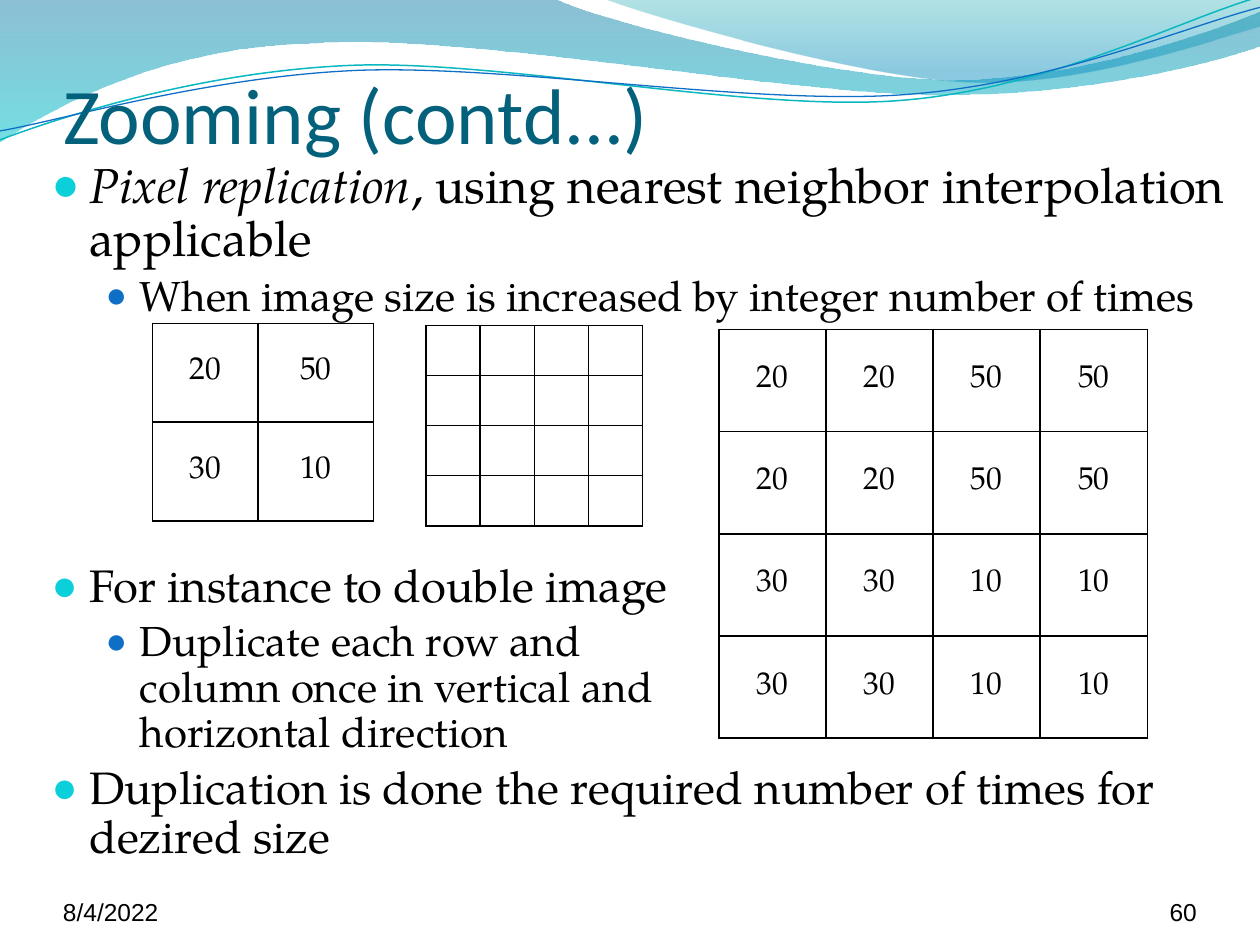
from lxml import etree
from pptx import Presentation
from pptx.dml.color import RGBColor
from pptx.enum.text import MSO_ANCHOR, MSO_AUTO_SIZE, PP_ALIGN
from pptx.oxml.ns import qn
from pptx.util import Cm, Pt

LEFT, CENTER, RIGHT = PP_ALIGN.LEFT, PP_ALIGN.CENTER, PP_ALIGN.RIGHT
TOP, MIDDLE, BOTTOM = MSO_ANCHOR.TOP, MSO_ANCHOR.MIDDLE, MSO_ANCHOR.BOTTOM
NO_AUTOFIT = MSO_AUTO_SIZE.NONE
SERIF = "TeX Gyre Pagella"

# Outlines in cm: a start point, then lines (one point) or curves (three points)
BROAD_WAVE = [
    (0, 0), [(11.18, -0.03)],
    [(12.09, 0.43), (16.87, 1.6), (19.25, 1.6)],
    [(21.67, 1.6), (24.33, 0.66), (25.4, 0.23)], [(25.43, 0.91)],
    [(24.97, 1.12), (22.1, 1.93), (18.95, 1.91)],
    [(15.8, 1.91), (9.7, 0.71), (6.53, 0.86)],
    [(3.28, 0.91), (1.17, 2.11), (-0.03, 2.87)],
]
RIGHT_WAVE = [
    (12.17, -0.03),
    [(12.93, 0.28), (17.32, 1.57), (19.53, 1.65)],
    [(21.74, 1.75), (24.41, 0.81), (25.4, 0.53)], [(25.4, 0)],
]
TEAL_LINE = [
    (0, 2.82),
    [(1.22, 2.36), (4.01, 1.45), (7.04, 1.32)],
    [(10.03, 1.19), (15.06, 2.26), (18.11, 2.03)],
    [(21.16, 1.8), (23.83, 0.38), (25.35, -0.05)],
]
BLUE_LINE = [
    (0, 2.64),
    [(1.19, 2.44), (4.17, 1.55), (7.19, 1.42)],
    [(10.24, 1.3), (15.16, 2.13), (18.21, 1.91)],
    [(21.23, 1.7), (23.9, 0.53), (25.4, 0.15)],
]

# Level, space before in points, text size, runs as (text, italic)
BULLETS = [
    (0, 0, 28, [("Pixel replication", True),
                (", using nearest neighbor interpolation applicable", False)]),
    (1, 4.5, 24, [("When image size is increased by integer number of\u00a0times", False)]),
    (0, 139, 26, [("For instance to double image", False)]),
    (1, 4.5, 24, [("Duplicate each row and\vcolumn once in vertical and\v"
                   "horizontal direction", False)]),
    (0, 5, 26, [("Duplication is done the required number of times for dezired size", False)]),
]
# Indent and hanging in cm, bullet colour, bullet size in percent
LEVELS = [(0.76, 0.76, "0BD0D9", 95), (1.78, 0.69, "0F6FC6", 85)]

PIXELS = [[20, 50], [30, 10]]
EMPTY_GRID = [[""] * 4 for _ in range(4)]
DOUBLED = [[value for value in row for _ in range(2)] for row in PIXELS for _ in range(2)]


def color(value):
    return RGBColor.from_string(value)


def write(paragraph, text, size=18, font=SERIF, fill="000000", italic=False, align=LEFT):
    paragraph.alignment = align
    for index, part in enumerate(text.split("\v")):
        if index:
            paragraph.add_line_break()
        run = paragraph.add_run()
        run.text = part
        run.font.size, run.font.name, run.font.italic = Pt(size), font, italic
        run.font.color.rgb = color(fill)


def place(shape, left, top, width, height):
    shape.left, shape.top = Cm(left), Cm(top)
    shape.width, shape.height = Cm(width), Cm(height)


def set_frame(frame, anchor, margins):
    frame.word_wrap, frame.auto_size = True, NO_AUTOFIT
    frame.vertical_anchor = anchor
    (frame.margin_left, frame.margin_top,
     frame.margin_right, frame.margin_bottom) = (Cm(margin) for margin in margins)


def add_outline(slide, left, top, outline, closed):
    points = outline[:1] + [point for segment in outline[1:] for point in segment]
    places = [(Cm(left + x), Cm(top + y)) for x, y in points]
    builder = slide.shapes.build_freeform(*places[0])
    builder.add_line_segments(places[1:], close=closed)
    shape = builder.convert_to_shape()
    shape.shadow.inherit = False
    # Join each run of three lines into one Bezier curve
    lines = iter(list(shape._element.iter(qn("a:lnTo"))))
    for segment in outline[1:]:
        parts = [next(lines) for _ in segment]
        if len(parts) == 3:
            curve = etree.Element(qn("a:cubicBezTo"))
            parts[0].addprevious(curve)
            for part in parts:
                curve.append(part[0])
                part.getparent().remove(part)
    return shape


def add_header_waves(slide, left, top):
    # Translucent bands, with stops as (position, colour, opacity in percent)
    for outline, stops in (
        (BROAD_WAVE, [(0, "0074A1", 45), (1, "00C6CF", 55)]),
        (RIGHT_WAVE, [(0, "00A1A9", 30), (0.8, "008BBF", 45)]),
    ):
        shape = add_outline(slide, left, top, outline, True)
        shape.line.fill.background()
        shape.fill.gradient()
        shape.fill.gradient_angle = 270
        for stop, (position, value, opacity) in zip(shape.fill.gradient_stops, stops):
            stop.position = position
            stop.color.rgb = color(value)
        for node, stop in zip(shape._element.iter(qn("a:srgbClr")), stops):
            etree.SubElement(node, qn("a:alpha"), val=str(stop[2] * 1000))
    # Thin lines
    for outline, value, width in ((TEAL_LINE, "0AB8BF", 0.85), (BLUE_LINE, "0F6FC6", 0.75)):
        shape = add_outline(slide, left, top, outline, False)
        shape.fill.background()
        shape.line.color.rgb = color(value)
        shape.line.width = Pt(width)


def add_title(slide, left, top, width, height):
    title = slide.shapes.title
    place(title, left, top, width, height)
    set_frame(title.text_frame, BOTTOM, (0, 0.13, 0, 0))
    write(title.text_frame.paragraphs[0], "Zooming (contd...)", 45, "Calibri", "04617B")


def set_bullet(paragraph, level):
    indent, hanging, value, percent = LEVELS[level]
    paragraph.level = level
    properties = paragraph._p.get_or_add_pPr()
    properties.set("marL", str(Cm(indent)))
    properties.set("indent", str(-Cm(hanging)))
    bullet_color = etree.SubElement(properties, qn("a:buClr"))
    etree.SubElement(bullet_color, qn("a:srgbClr"), val=value)
    etree.SubElement(properties, qn("a:buSzPct"), val=str(percent * 1000))
    etree.SubElement(properties, qn("a:buFont"), typeface="Arial")
    etree.SubElement(properties, qn("a:buChar"), char="●")


def add_body(slide, left, top, width, height):
    body = slide.placeholders[1]
    place(body, left, top, width, height)
    frame = body.text_frame
    set_frame(frame, TOP, (0.25, 0.13, 0.25, 0.13))
    for index, (level, space, size, runs) in enumerate(BULLETS):
        paragraph = frame.add_paragraph() if index else frame.paragraphs[0]
        set_bullet(paragraph, level)
        paragraph.line_spacing, paragraph.space_before = 0.9, Pt(space)
        for text, italic in runs:
            write(paragraph, text, size, italic=italic)


def set_borders(cell):
    properties = cell._tc.get_or_add_tcPr()
    for index, side in enumerate(("a:lnL", "a:lnR", "a:lnT", "a:lnB")):
        line = etree.Element(qn(side), w=str(Pt(1)))
        fill = etree.SubElement(line, qn("a:solidFill"))
        etree.SubElement(fill, qn("a:srgbClr"), val="000000")
        properties.insert(index, line)


def add_pixel_grid(slide, left, top, column_widths, row_height, values):
    table = slide.shapes.add_table(
        len(values), len(column_widths), Cm(left), Cm(top),
        Cm(sum(column_widths)), Cm(row_height * len(values))).table
    table.first_row = table.horz_banding = False
    for column, width in zip(table.columns, column_widths):
        column.width = Cm(width)
    for row, row_values in zip(table.rows, values):
        row.height = Cm(row_height)
        for cell, value in zip(row.cells, row_values):
            cell.fill.background()
            set_borders(cell)
            cell.vertical_anchor = MIDDLE
            cell.margin_top = cell.margin_bottom = 0
            if value:
                write(cell.text_frame.paragraphs[0], str(value), align=CENTER)


def add_footer(slide, left, top, width, height):
    for text, offset, box_width, align in (
        ("8/4/2022", 0, 5.92, LEFT), ("60", width - 2.11, 2.11, RIGHT)):
        box = slide.shapes.add_textbox(Cm(left + offset), Cm(top), Cm(box_width), Cm(height))
        set_frame(box.text_frame, BOTTOM, (0, 0, 0, 0))
        write(box.text_frame.paragraphs[0], text, 14, "Arial", align=align)


def main():
    presentation = Presentation()
    presentation.slide_width, presentation.slide_height = Cm(25.4), Cm(19.05)
    slide = presentation.slides.add_slide(presentation.slide_layouts[1])
    add_header_waves(slide, 0, 0)
    add_footer(slide, 1.27, 17.65, 22.86, 1.02)
    add_title(slide, 1.27, 1.28, 22.86, 1.95)
    add_body(slide, 0.79, 3.12, 24.61, 15.72)
    # Bring the title and the list in front of the waves
    for placeholder in list(slide.placeholders):
        slide.shapes._spTree.append(placeholder._element)
    add_pixel_grid(slide, 3.07, 6.52, [2.13, 2.33], 1.99, PIXELS)
    add_pixel_grid(slide, 8.59, 6.56, [1.09] * 4, 1.01, EMPTY_GRID)
    add_pixel_grid(slide, 14.49, 6.64, [2.16] * 4, 2.06, DOUBLED)
    presentation.save("out.pptx")


if __name__ == "__main__":
    main()
